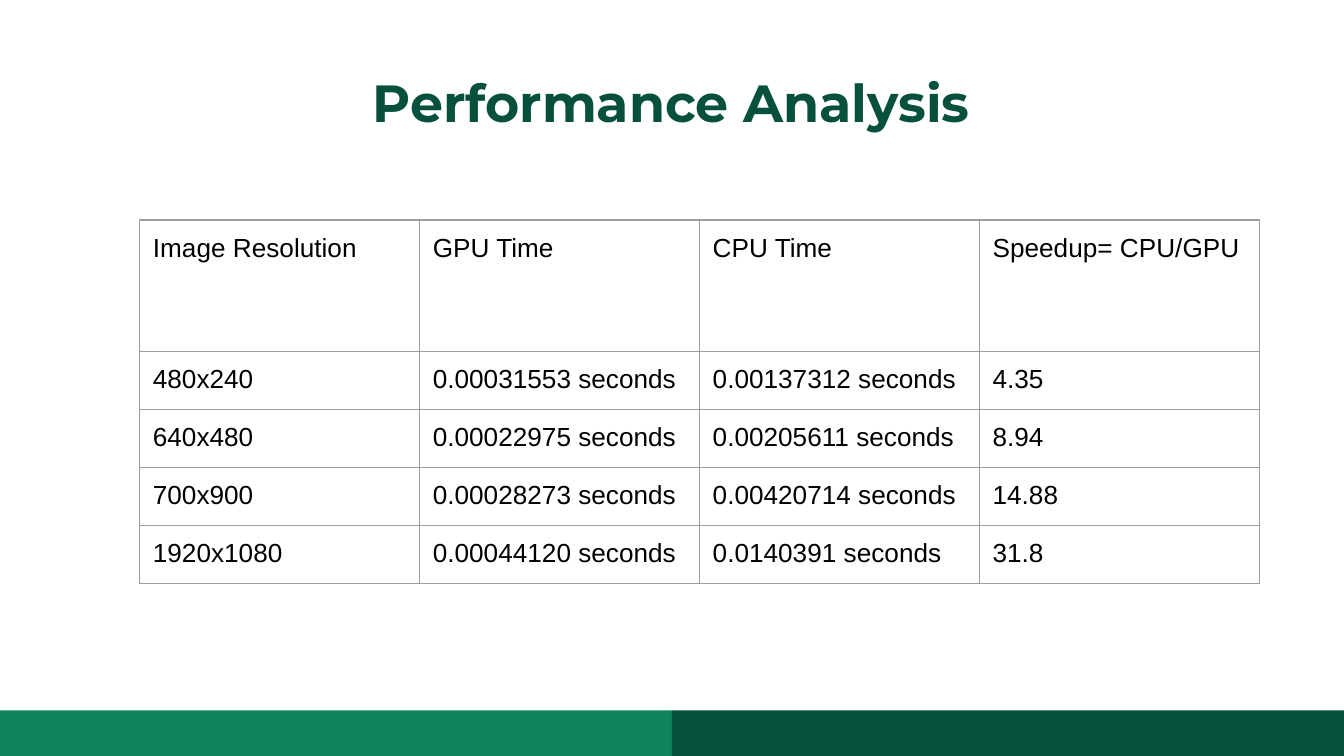
from dataclasses import dataclass

import pptx
import pptx.dml.color
import pptx.enum.shapes
import pptx.enum.text
import pptx.util
from lxml import etree
from pptx.oxml.ns import qn
from pptx.util import Cm, Pt

WIDE, HIGH = 25.4, 14.29
INSET = Cm(0.25)
DARK, GREEN, BLACK, GREY = "06503D", "0E835C", "000000", "9E9E9E"


@dataclass
class Bar:
    left: float
    color: str


BARS = [Bar(0, GREEN), Bar(WIDE / 2, DARK)]
ROWS = [
    ("Image Resolution", "GPU Time", "CPU Time", "Speedup= CPU/GPU"),
    ("480x240", "0.00031553 seconds", "0.00137312 seconds", "4.35"),
    ("640x480", "0.00022975 seconds", "0.00205611 seconds", "8.94"),
    ("700x900", "0.00028273 seconds", "0.00420714 seconds", "14.88"),
    ("1920x1080", "0.00044120 seconds", "0.0140391 seconds", "31.8"),
]
COL, HEAD, ROW = 5.29, 2.49, 1.06


def rgb(code: str) -> pptx.dml.color.RGBColor:
    return pptx.dml.color.RGBColor.from_string(code)


def style(frame, size: float, face: str, color: str, bold: bool = False) -> None:
    for run in frame.paragraphs[0].runs:
        font = run.font
        font.size, font.name, font.bold = Pt(size), face, bold
        font.color.rgb = rgb(color)


def pad(box) -> None:
    """Give a text frame or a table cell equal margins."""
    box.margin_left = box.margin_right = INSET
    box.margin_top = box.margin_bottom = INSET


def draw_bar(slide, bar: Bar) -> None:
    tall = 0.86
    rect = slide.shapes.add_shape(
        pptx.enum.shapes.MSO_SHAPE.RECTANGLE,
        Cm(bar.left), Cm(HIGH - tall), Cm(WIDE / 2), Cm(tall))
    rect.shadow.inherit = False
    rect.fill.solid()
    rect.fill.fore_color.rgb = rgb(bar.color)
    rect.line.fill.background()


def draw_title(slide, text: str) -> None:
    box = slide.shapes.add_textbox(Cm(1.98), Cm(1.07), Cm(21.41), Cm(1.6))
    frame = box.text_frame
    frame.word_wrap = True
    pad(frame)
    frame.text = text
    frame.paragraphs[0].alignment = pptx.enum.text.PP_ALIGN.CENTER
    style(frame, 28, "Montserrat", DARK, True)


def edge(cell, color: str, width: float) -> None:
    """Draw all four borders of a cell; they must precede its fill."""
    props = cell._tc.get_or_add_tcPr()
    for spot, side in enumerate(("lnL", "lnR", "lnT", "lnB")):
        line = etree.Element(qn(f"a:{side}"), w=str(Pt(width)))
        fill = etree.SubElement(line, qn("a:solidFill"))
        etree.SubElement(fill, qn("a:srgbClr"), val=color)
        props.insert(spot, line)


def draw_table(slide, rows: list[tuple[str, ...]]) -> None:
    count = len(rows[0])
    shape = slide.shapes.add_table(
        len(rows), count, Cm(2.64), Cm(4.16),
        Cm(COL * count), Cm(HEAD + ROW * (len(rows) - 1)))
    table = shape.table
    table.first_row = table.horz_banding = False
    for col in table.columns:
        col.width = Cm(COL)
    for i, row in enumerate(rows):
        table.rows[i].height = Cm(ROW if i else HEAD)
        for j, text in enumerate(row):
            cell = table.cell(i, j)
            cell.fill.background()
            edge(cell, GREY, 0.75)
            pad(cell)
            cell.text_frame.text = text
            style(cell.text_frame, 14, "Arial", BLACK)


def main() -> None:
    deck = pptx.Presentation()
    deck.slide_width, deck.slide_height = Cm(WIDE), Cm(HIGH)
    slide = deck.slides.add_slide(deck.slide_layouts[6])
    for bar in BARS:
        draw_bar(slide, bar)
    draw_title(slide, "Performance Analysis")
    draw_table(slide, ROWS)
    deck.save("out.pptx")


if __name__ == "__main__":
    main()
